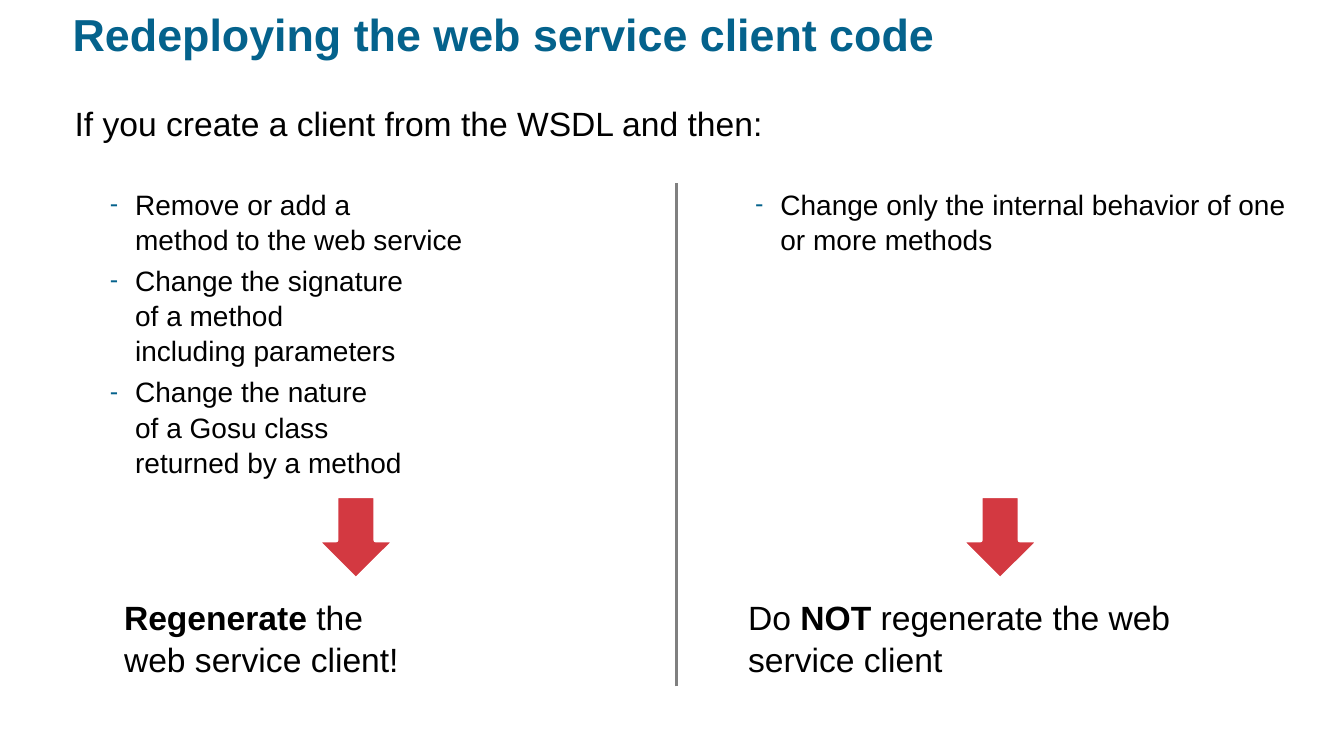
from lxml.etree import SubElement
from pptx import Presentation
from pptx.dml.color import RGBColor
from pptx.enum.shapes import MSO_CONNECTOR as Connector, MSO_SHAPE as Shape
from pptx.enum.text import MSO_ANCHOR as Anchor, MSO_AUTO_SIZE as AutoSize, PP_ALIGN as Align
from pptx.oxml.ns import qn
from pptx.util import Inches, Pt

COLORS = {"title": "04628C", "text": "000000", "divider": "808080",
          "arrow": "D33941", "edge": "FFFFFF"}


def color(name):
    return RGBColor.from_string(COLORS[name])


def write(paragraph, text, size=24, fill="text", bold=False, spacing=1.05, before=0):
    """Write text into a paragraph, with **bold** parts and line breaks."""
    paragraph.alignment = Align.LEFT
    paragraph.line_spacing = spacing
    paragraph.space_before = Pt(before)
    for part, words in enumerate(text.split("**")):
        for row, line in enumerate(words.split("\n")):
            if row:
                paragraph.add_line_break()
            if line:
                run = paragraph.add_run()
                run.text = line
                run.font.name = "Arial"
                run.font.size = Pt(size)
                run.font.bold = bold or part % 2 == 1
                run.font.color.rgb = color(fill)


class Deck:
    """Holds the presentation, its style and the current slide."""

    def __init__(self):
        self.prs = Presentation()
        self.prs.slide_width, self.prs.slide_height = Inches(13.33), Inches(7.5)
        self.slide = self.prs.slides.add_slide(self.prs.slide_layouts[3])

    def frame(self, box, margin=(0, 0)):
        frame = box.text_frame
        frame.word_wrap = True
        frame.auto_size = AutoSize.NONE
        frame.vertical_anchor = Anchor.TOP
        frame.margin_left = frame.margin_right = Inches(margin[0])
        frame.margin_top = frame.margin_bottom = Inches(margin[1])
        return frame

    def place(self, holder, left, top, width, height):
        holder.left, holder.top = Inches(left), Inches(top)
        holder.width, holder.height = Inches(width), Inches(height)

    def title(self, text, *area):
        heading = self.slide.shapes.title
        self.place(heading, *area)
        write(self.frame(heading).paragraphs[0], text, size=32, fill="title",
              bold=True, spacing=0.9)

    def bullets(self, index, items, *area):
        body = self.slide.placeholders[index]
        self.place(body, *area)
        frame = self.frame(body, (0.1, 0.05))
        for number, item in enumerate(items):
            paragraph = frame.add_paragraph() if number else frame.paragraphs[0]
            paragraph.level = 1
            props = paragraph._p.get_or_add_pPr()
            props.set("marL", str(Inches(0.69)))
            props.set("indent", str(Inches(-0.25)))
            tint = SubElement(props, qn("a:buClr"))
            SubElement(tint, qn("a:srgbClr"), val=COLORS["title"])
            SubElement(props, qn("a:buSzPct"), val="90000")
            SubElement(props, qn("a:buFont"), typeface="Arial")
            SubElement(props, qn("a:buChar"), char="-")
            write(paragraph, item, size=20, before=4 if number else 0)

    def text(self, text, *area):
        box = self.slide.shapes.add_textbox(*map(Inches, area))
        write(self.frame(box).paragraphs[0], text)

    def divider(self, x, top, bottom):
        line = self.slide.shapes.add_connector(
            Connector.STRAIGHT, Inches(x), Inches(bottom), Inches(x), Inches(top))
        line.line.color.rgb = color("divider")
        line.line.width = Pt(2.25)
        SubElement(line._element.spPr, qn("a:effectLst"))

    def arrow(self, *area):
        arrow = self.slide.shapes.add_shape(Shape.DOWN_ARROW, *map(Inches, area))
        arrow.shadow.inherit = False
        arrow.fill.solid()
        arrow.fill.fore_color.rgb = color("arrow")
        arrow.line.color.rgb = color("edge")
        arrow.line.width = Pt(3)


def main():
    deck = Deck()
    deck.title("Redeploying the web service client code", 0.72, 0.13, 12.13, 0.81)
    deck.text("If you create a client from the WSDL and then:", 0.74, 1, 11.95, 0.79)
    deck.bullets(1, ["Remove or add a\nmethod to the web service",
                     "Change the signature\nof a method\nincluding parameters",
                     "Change the nature\nof a Gosu class\nreturned by a method"],
                 0.55, 1.79, 5.95, 5.06)
    deck.bullets(2, ["Change only the internal behavior of one or more methods"],
                 6.95, 1.79, 5.93, 3.31)
    deck.divider(6.71, 1.82, 6.81)
    outcomes = [(3.14, 1.23, 4.88, "**Regenerate** the\nweb service client!"),
                (9.53, 7.42, 5.27, "Do **NOT** regenerate the web service client")]
    for arrow_left, left, width, outcome in outcomes:
        deck.arrow(arrow_left, 4.92, 0.78, 0.83)
        deck.text(outcome, left, 5.9, width, 0.89)
    deck.prs.save("out.pptx")


if __name__ == "__main__":
    main()
